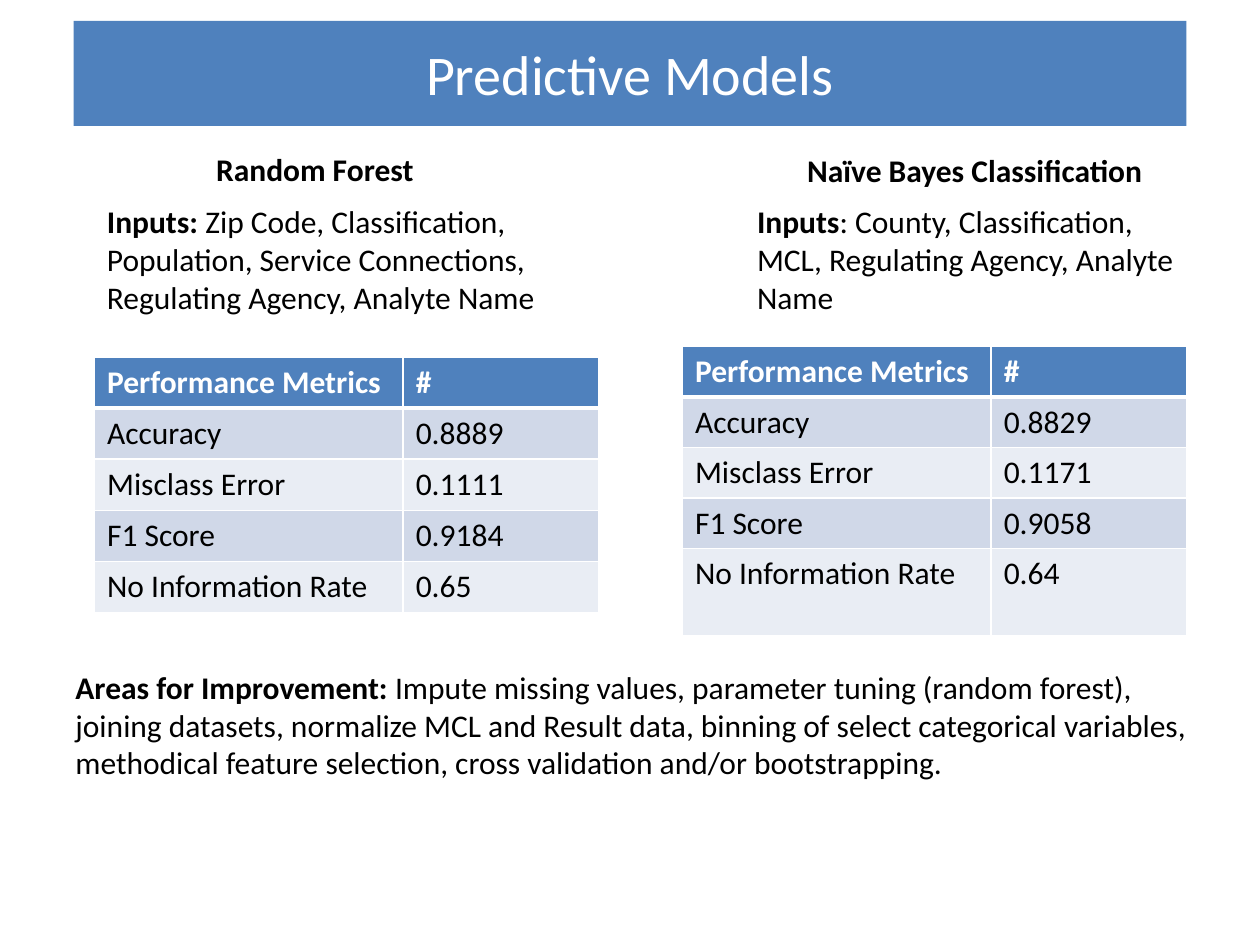
import pptx
import pptx.util
import pptx.dml.color
import pptx.enum.shapes
import pptx.enum.text
import pptx.oxml
import pptx.oxml.ns

Pt = pptx.util.Pt
ALIGN = pptx.enum.text.PP_ALIGN


def color(value):
    """Turn a hex string into a colour."""
    return pptx.dml.color.RGBColor.from_string(value)


class SlideBuilder:
    """Holds the style and the current slide."""

    font = "Calibri"
    size = 18
    black, white, blue = "000000", "FFFFFF", "4F81BD"
    bands = ("D0D8E8", "E9EDF4")

    def __init__(self, slide):
        """Keep the slide to draw on."""
        self.slide = slide

    def fill_para(self, para, pieces, ink=black, size=size, align=ALIGN.LEFT):
        """Fill a paragraph with (text, bold) pieces."""
        para.alignment = align
        for text, bold in pieces:
            span = para.add_run()
            span.text = text
            span.font.name = self.font
            span.font.size = Pt(size)
            span.font.bold = bold
            span.font.color.rgb = color(ink)

    def banner(self, text, left, top, width, height):
        """Draw the title bar."""
        bar = self.slide.shapes.add_shape(
            pptx.enum.shapes.MSO_SHAPE.RECTANGLE,
            Pt(left), Pt(top), Pt(width), Pt(height))
        bar.shadow.inherit = False
        bar.fill.solid()
        bar.fill.fore_color.rgb = color(self.blue)
        bar.line.fill.background()
        bar.text_frame.vertical_anchor = pptx.enum.text.MSO_ANCHOR.MIDDLE
        self.fill_para(bar.text_frame.paragraphs[0], [(text, False)],
                       self.white, 32, ALIGN.CENTER)

    def text(self, pieces, left, top, width, height, align=ALIGN.LEFT):
        """Add a wrapping text box."""
        box = self.slide.shapes.add_textbox(
            Pt(left), Pt(top), Pt(width), Pt(height))
        box.text_frame.word_wrap = True
        box.text_frame.auto_size = pptx.enum.text.MSO_AUTO_SIZE.SHAPE_TO_FIT_TEXT
        self.fill_para(box.text_frame.paragraphs[0], pieces, align=align)

    def borders(self, cell, bottom, top):
        """Give a cell white borders with the given horizontal weights."""
        for side, weight in (("L", 1), ("R", 1), ("T", top), ("B", bottom)):
            cell._tc.get_or_add_tcPr().append(pptx.oxml.parse_xml(
                f'<a:ln{side} {pptx.oxml.ns.nsdecls("a")} w="{int(Pt(weight))}">'
                f'<a:solidFill><a:srgbClr val="{self.white}"/></a:solidFill>'
                f'</a:ln{side}>'))

    def table(self, rows, left, top, widths, heights):
        """Add a table with a blue header and banded rows."""
        table = self.slide.shapes.add_table(
            len(rows), len(widths), Pt(left), Pt(top),
            Pt(sum(widths)), Pt(sum(heights))).table
        for column, width in zip(table.columns, widths):
            column.width = Pt(width)
        for index, (values, height) in enumerate(zip(rows, heights)):
            table.rows[index].height = Pt(height)
            header = index == 0
            fill = self.blue if header else self.bands[(index - 1) % 2]
            for cell, value in zip(table.rows[index].cells, values):
                self.borders(cell, 3 if header else 1, 3 if index == 1 else 1)
                cell.fill.solid()
                cell.fill.fore_color.rgb = color(fill)
                self.fill_para(cell.text_frame.paragraphs[0], [(value, header)],
                               self.white if header else self.black)


METRICS = ("Accuracy", "Misclass Error", "F1 Score", "No Information Rate")
MODELS = [
    dict(name="Random Forest", name_at=(36, 82),
         inputs=[("Inputs: ", True),
                 ("Zip Code, Classification, Population, Service Connections, "
                  "Regulating Agency, Analyte Name", False)],
         inputs_left=54, table_at=(54, 204),
         scores=("0.8889", "0.1111", "0.9184", "0.65"), heights=[29.2] * 5),
    dict(name="Naïve Bayes Classification", name_at=(413, 83),
         inputs=[("Inputs", True),
                 (": County, Classification, MCL, Regulating Agency, "
                  "Analyte Name", False)],
         inputs_left=425.5, table_at=(390, 198),
         scores=("0.8829", "0.1171", "0.9058", "0.64"),
         heights=[28.8] * 4 + [50]),
]

deck = pptx.Presentation()
deck.slide_width, deck.slide_height = Pt(720), Pt(540)
page = SlideBuilder(deck.slides.add_slide(deck.slide_layouts[6]))

page.banner("Predictive Models", 42, 12, 636, 60)
for model in MODELS:
    page.text([(model["name"], True)], *model["name_at"], 288, 29, ALIGN.CENTER)
    page.text(model["inputs"], model["inputs_left"], 112, 264, 72.7)
    rows = [("Performance Metrics", "#"), *zip(METRICS, model["scores"])]
    page.table(rows, *model["table_at"], (176.4, 111.6), model["heights"])
page.text([("Areas for Improvement: ", True),
           ("Impute missing values, parameter tuning (random forest), joining "
            "datasets, normalize MCL and Result data, binning of select "
            "categorical variables, methodical feature selection, cross "
            "validation and/or bootstrapping.", False)],
          36, 378, 660, 72.7)

deck.save("out.pptx")
